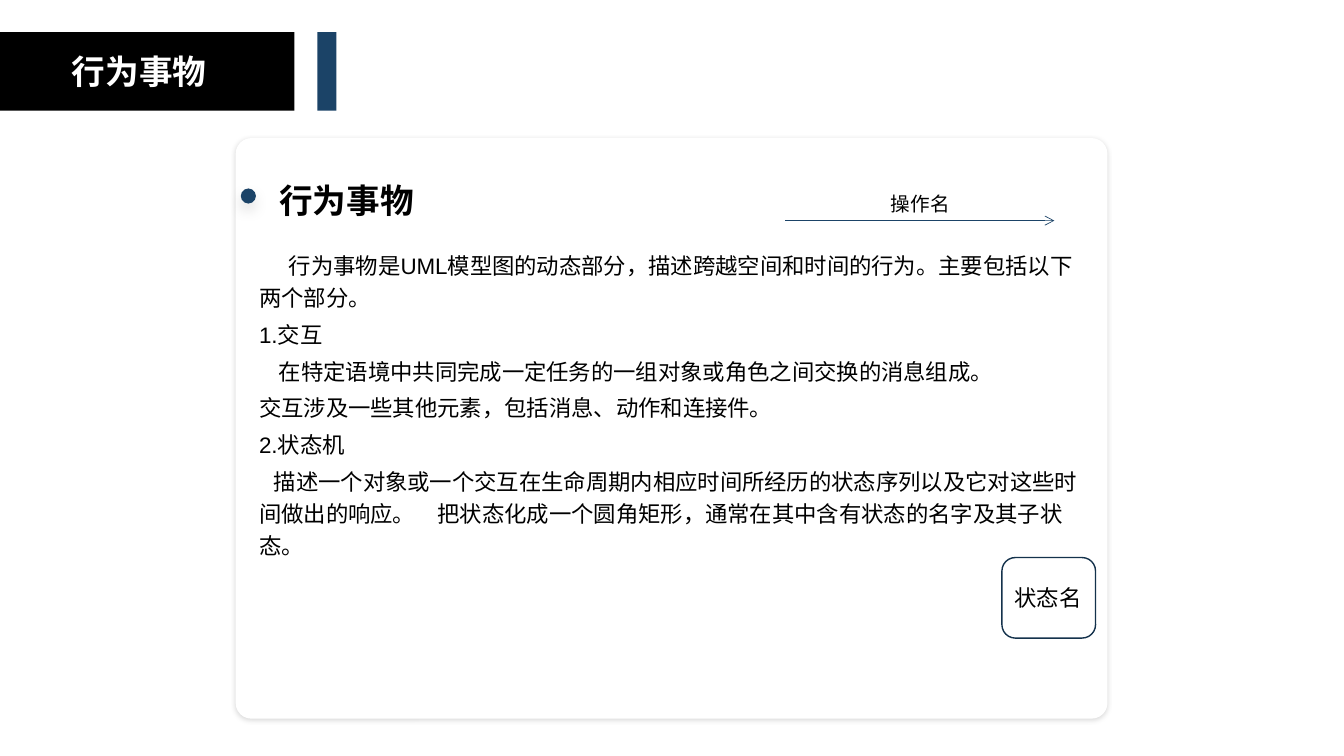
import dataclasses

import lxml.etree
import pptx
import pptx.dml.color
import pptx.enum.dml
import pptx.enum.shapes
import pptx.enum.text
import pptx.oxml
import pptx.oxml.ns
import pptx.util

Cm = pptx.util.Cm
Pt = pptx.util.Pt
qn = pptx.oxml.ns.qn
MSO = pptx.enum.shapes.MSO_SHAPE


@dataclasses.dataclass(frozen=True)
class Theme:
    black: str = "000000"
    white: str = "FFFFFF"
    blue: str = "1B4367"
    outline: str = "14324C"
    latin: str = "Arial"
    cjk: str = "Noto Sans CJK SC"
    title_size: int = 24
    body_size: int = 16
    label_size: int = 14
    line_spacing: float = 1.2
    space_before: float = 3.2


class SlideBuilder:
    def __init__(self, prs, theme):
        self.theme = theme
        self.s = prs.slides.add_slide(prs.slide_layouts[6])

    def rgb(self, color):
        return pptx.dml.color.RGBColor.from_string(color)

    def shape(self, kind, box, fill=None, line=None, radius=None, shadow=None):
        sp = self.s.shapes.add_shape(kind, *map(Cm, box))
        sp.shadow.inherit = False
        if fill:
            sp.fill.solid()
            sp.fill.fore_color.rgb = self.rgb(fill)
        else:
            sp.fill.background()
        if line:
            sp.line.color.rgb = self.rgb(line)
            sp.line.width = Pt(1)
        else:
            sp.line.fill.background()
        if radius is not None:
            sp.adjustments[0] = radius
        if shadow:
            self.cast_shadow(sp, *shadow)

    def cast_shadow(self, sp, alpha, blur, distance):
        effects = sp._element.spPr.find(qn("a:effectLst"))
        outer = lxml.etree.SubElement(
            effects, qn("a:outerShdw"), blurRad=str(Pt(blur)),
            dist=str(Pt(distance)), dir="5400000", rotWithShape="0")
        color = lxml.etree.SubElement(outer, qn("a:srgbClr"), val=self.theme.black)
        lxml.etree.SubElement(color, qn("a:alpha"), val=str(alpha * 1000))

    def text(self, box, paragraphs, size, color=None, font=None, bold=False,
             align=None, wrap=True, flush=False):
        tf = self.s.shapes.add_textbox(*map(Cm, box)).text_frame
        tf.word_wrap = wrap
        tf.auto_size = pptx.enum.text.MSO_AUTO_SIZE.SHAPE_TO_FIT_TEXT
        if flush:
            tf.margin_left = tf.margin_top = tf.margin_right = tf.margin_bottom = 0
        for i, (text, indent) in enumerate(paragraphs):
            p = tf.add_paragraph() if i else tf.paragraphs[0]
            if indent:
                p._p.get_or_add_pPr().set("indent", str(Cm(indent)))
            if align:
                p.alignment = align
            if flush:
                p.line_spacing = self.theme.line_spacing
                p.space_before = Pt(self.theme.space_before if i else 0)
            self.run(p, text, size, color or self.theme.black,
                     font or self.theme.cjk, bold)

    def run(self, p, text, size, color, font, bold):
        r = p.add_run()
        r.text = text
        r.font.size = Pt(size)
        r.font.bold = bold
        r.font.name = font
        r.font.color.rgb = self.rgb(color)
        lxml.etree.SubElement(r._r.get_or_add_rPr(), qn("a:ea"), typeface=self.theme.cjk)

    def arrow(self, x1, x2, y):
        c = self.s.shapes.add_connector(
            pptx.enum.shapes.MSO_CONNECTOR.STRAIGHT, Cm(x1), Cm(y), Cm(x2), Cm(y))
        c.line.color.rgb = self.rgb(self.theme.blue)
        c.line.width = Pt(0.5)
        lxml.etree.SubElement(c.line._get_or_add_ln(), qn("a:tailEnd"), type="arrow")
        lxml.etree.SubElement(c._element.spPr, qn("a:effectLst"))


def main():
    prs = pptx.Presentation()
    prs.slide_width = Cm(33.87)
    prs.slide_height = Cm(19.05)
    t = Theme()
    b = SlideBuilder(prs, t)
    heading = [("行为事物", 0)]
    body = [
        ("行为事物是UML模型图的动态部分，描述跨越空间和时间的行为。主要包括以下两个部分。", 0.75),
        ("1.交互", 0),
        ("在特定语境中共同完成一定任务的一组对象或角色之间交换的消息组成。", 0.5),
        ("交互涉及一些其他元素，包括消息、动作和连接件。", 0),
        ("2.状态机", 0),
        ("描述一个对象或一个交互在生命周期内相应时间所经历的状态序列以及它对这些时间做出的响应。"
         "　把状态化成一个圆角矩形，通常在其中含有状态的名字及其子状态。", 0.37),
    ]

    b.shape(MSO.RECTANGLE, (0, 0.81, 7.42, 1.98), fill=t.black)
    b.shape(MSO.RECTANGLE, (8, 0.81, 0.48, 1.98), fill=t.blue)
    b.text((0, 1.17, 7.01, 1.27), heading, t.title_size, color=t.white, bold=True,
           align=pptx.enum.text.PP_ALIGN.CENTER)

    b.shape(MSO.ROUNDED_RECTANGLE, (5.94, 3.48, 21.97, 14.63), fill=t.white,
            radius=0.027, shadow=(15, 3, 1))
    b.shape(MSO.OVAL, (6.07, 4.75, 0.38, 0.38), fill=t.blue, shadow=(12, 10, 5))
    b.text((7.04, 4.32, 10.52, 1.22), heading, t.title_size, font=t.latin,
           bold=True, flush=True)
    b.text((6.53, 6.22, 20.83, 7.24), body, t.body_size, font=t.latin, flush=True)

    b.arrow(19.79, 26.57, 5.56)
    b.shape(MSO.ROUNDED_RECTANGLE, (25.25, 14.05, 2.36, 2.03), line=t.outline)
    b.text((25.32, 14.6, 2.25, 0.94), [("状态名", 0)], t.body_size, wrap=False)
    b.text((22.2, 4.72, 2.1, 0.86), [("操作名", 0)], t.label_size, wrap=False)
    prs.save("out.pptx")


if __name__ == "__main__":
    main()
